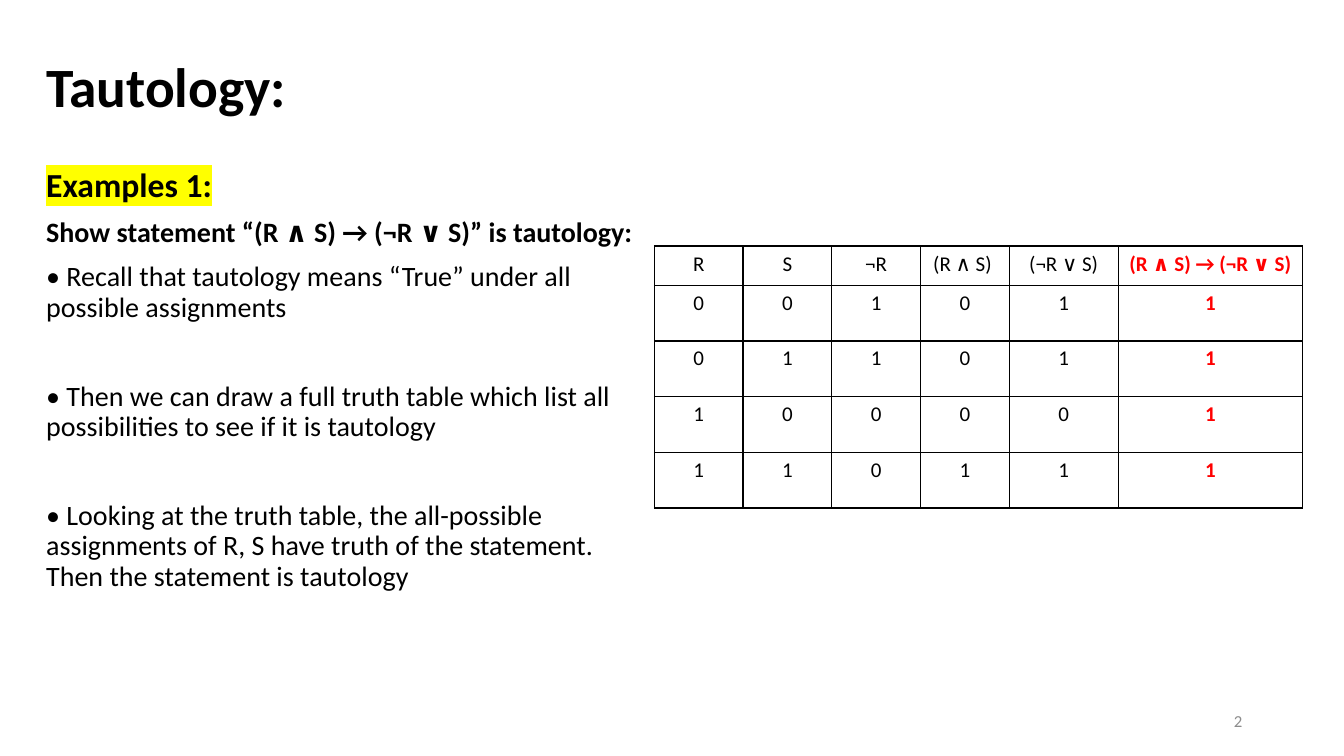
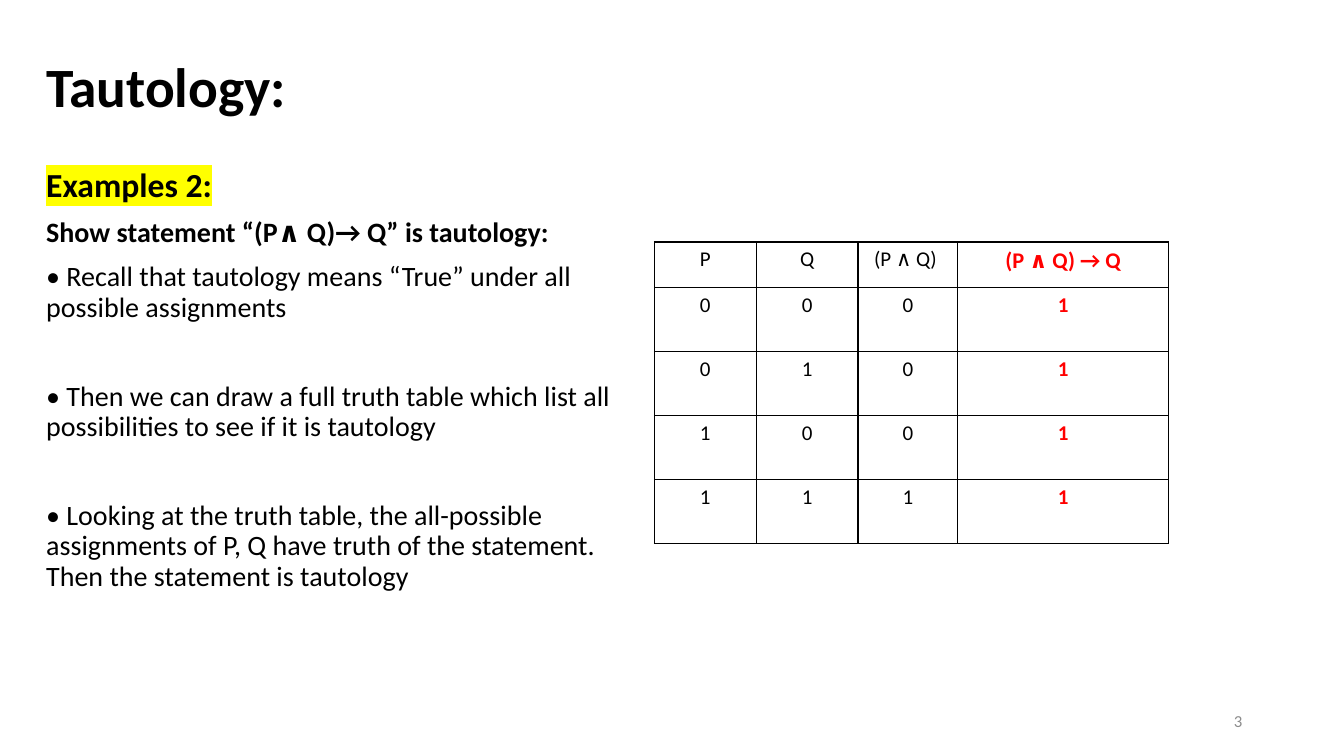
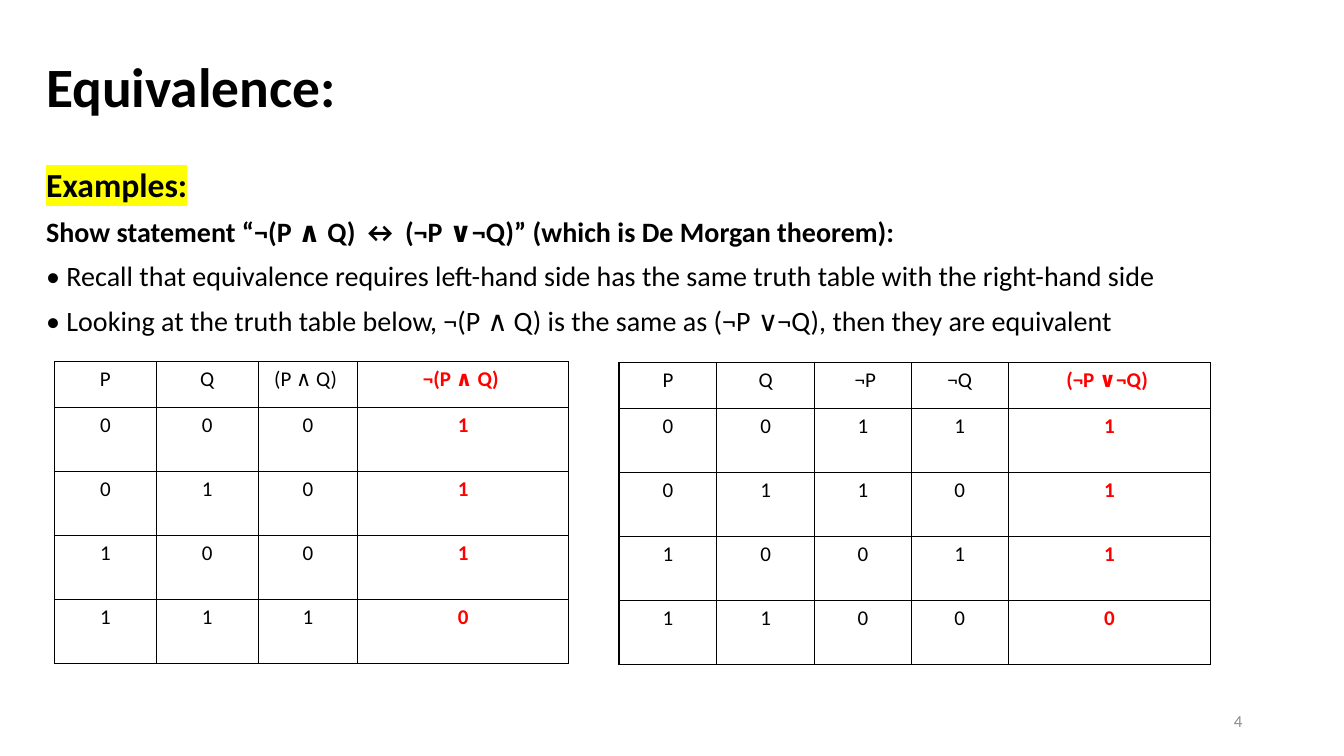
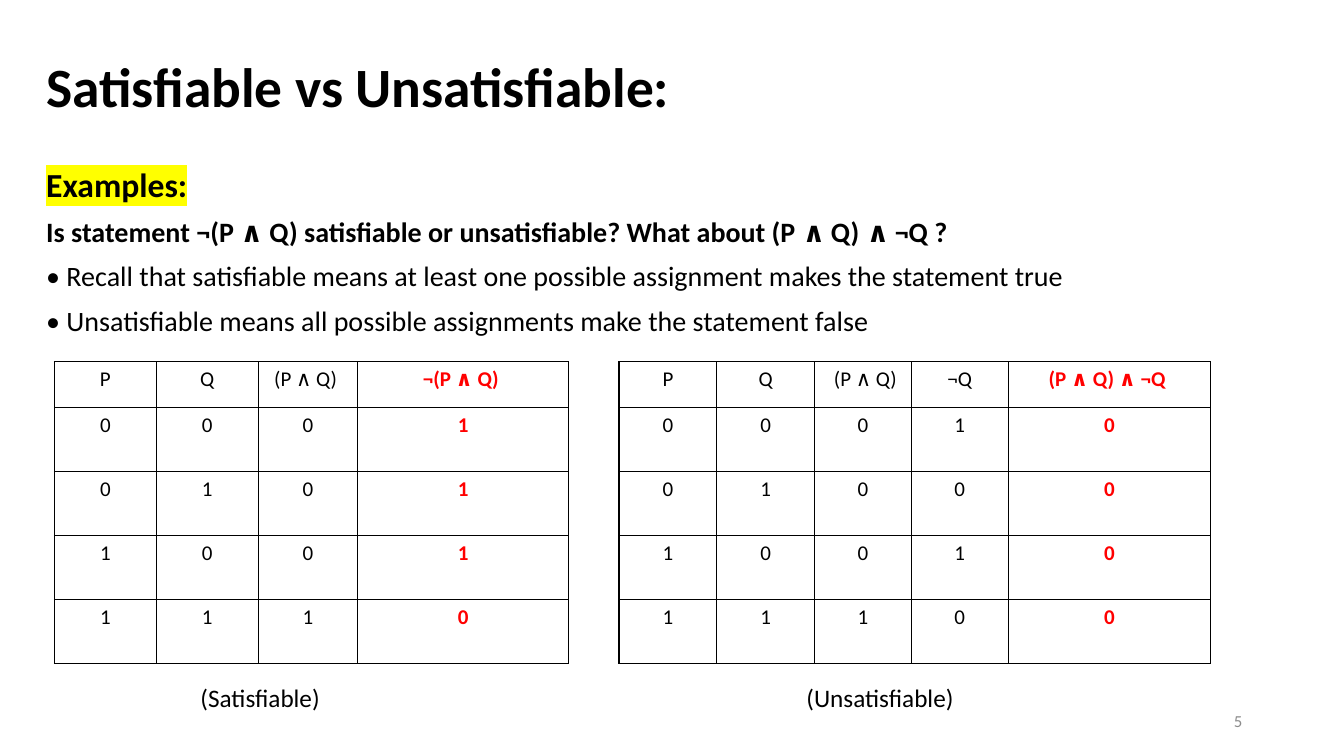
from lxml import etree
from pptx import Presentation
from pptx.dml.color import RGBColor
from pptx.enum.text import MSO_ANCHOR, PP_ALIGN
from pptx.oxml.ns import qn
from pptx.util import Inches, Pt

LEFT, CENTER, RIGHT = PP_ALIGN.LEFT, PP_ALIGN.CENTER, PP_ALIGN.RIGHT
TOP, MIDDLE, BOTTOM = MSO_ANCHOR.TOP, MSO_ANCHOR.MIDDLE, MSO_ANCHOR.BOTTOM

# Shared style
FONT = "Calibri"
BLACK, RED, GREY, YELLOW = "000000", "FF0000", "8C8C8C", "FFFF00"
TITLE_BOX = (0.36, 0.49, 10, 0.74)
NUMBER_BOX = (9.42, 6.95, 3, 0.4)
NARROW_BODY = (0.36, 1.62, 6.13, 5.23)
WIDE_BODY = (0.36, 1.62, 12.13, 1.96)
CLOSE_GAP, WIDE_GAP = 10, 42
FOUR_COLUMNS = [1.01, 1.01, 0.99, 2.09]
FIVE_COLUMNS = [0.97, 0.97, 0.96, 0.96, 2.01]


def write(paragraph, text, size=20, color=BLACK, bold=False, align=LEFT,
          spacing=None, before=None, highlight=None):
    paragraph.alignment = align
    if spacing:
        paragraph.line_spacing = spacing
    if before:
        paragraph.space_before = Pt(before)
    run = paragraph.add_run()
    run.text = text
    run.font.size = Pt(size)
    run.font.bold = bold
    run.font.color.rgb = RGBColor.from_string(color)
    run.font.name = FONT
    if highlight:
        mark = etree.Element(qn("a:highlight"))
        etree.SubElement(mark, qn("a:srgbClr"), val=highlight)
        run.font._element.find(qn("a:latin")).addprevious(mark)


def add_frame(slide, box, anchor=TOP, wrap=True):
    frame = slide.shapes.add_textbox(*map(Inches, box)).text_frame
    frame.word_wrap = wrap
    frame.vertical_anchor = anchor
    return frame


# Content: each truth table holds its header and one string of values per row
def_recall = "• Recall that tautology means “True” under all possible assignments"
draw_table = ("• Then we can draw a full truth table which list all "
              "possibilities to see if it is tautology")
conclusion = ("• Looking at the truth table, the all-possible assignments of {} "
              "have truth of the statement. Then the statement is tautology")
not_and_table = dict(
    at=(0.54, 3.59), height=2.99, header_height=0.45, columns=FOUR_COLUMNS,
    header=["P", "Q", "(P ∧ Q) ", "¬(P ∧ Q) "],
    rows=["0001", "0101", "1001", "1110"])

lessons = [
    dict(title="Tautology:", example="Examples 1:", body=NARROW_BODY, gap=WIDE_GAP,
         statement="Show statement “(R ∧ S) → (¬R ∨ S)” is tautology:",
         points=[def_recall, draw_table, conclusion.format("R, S")],
         tables=[dict(
             at=(6.49, 2.44), height=2.6, header_height=0.39,
             columns=[0.88, 0.88, 0.88, 0.88, 1.08, 1.83],
             header=["R", "S", "¬R", "(R ∧ S) ", "(¬R ∨ S)", "(R ∧ S) → (¬R ∨ S)"],
             rows=["001011", "011011", "100001", "110111"])]),
    dict(title="Tautology:", example="Examples 2:", body=NARROW_BODY, gap=WIDE_GAP,
         statement="Show statement “(P∧ Q)→ Q” is tautology:",
         points=[def_recall, draw_table, conclusion.format("P, Q")],
         tables=[dict(
             at=(6.49, 2.4), height=2.99, header_height=0.45, columns=FOUR_COLUMNS,
             header=["P", "Q", "(P ∧ Q) ", "(P ∧ Q) → Q"], result_size=16,
             rows=["0001", "0101", "1001", "1111"])]),
    dict(title="Equivalence:", example="Examples:", body=WIDE_BODY, gap=CLOSE_GAP,
         statement="Show statement “¬(P ∧ Q) ↔ (¬P ∨¬Q)” (which is De Morgan theorem):",
         points=["• Recall that equivalence requires left-hand side has the same "
                 "truth table with the right-hand side",
                 "• Looking at the truth table below, ¬(P ∧ Q) is the same as "
                 "(¬P ∨¬Q), then they are equivalent"],
         tables=[not_and_table, dict(
             at=(6.14, 3.6), height=2.99, header_height=0.45, columns=FIVE_COLUMNS,
             header=["P", "Q", " ¬P", "¬Q", "(¬P ∨¬Q) "],
             rows=["00111", "01101", "10011", "11000"])]),
    dict(title="Satisfiable vs Unsatisfiable:", example="Examples:", body=WIDE_BODY,
         gap=CLOSE_GAP,
         statement="Is statement ¬(P ∧ Q) satisfiable or unsatisfiable? "
                   "What about (P ∧ Q) ∧ ¬Q ?",
         points=["• Recall that satisfiable means at least one possible assignment "
                 "makes the statement true",
                 "• Unsatisfiable means all possible assignments make the "
                 "statement false"],
         tables=[not_and_table, dict(
             at=(6.14, 3.59), height=2.99, header_height=0.45, columns=FIVE_COLUMNS,
             header=["P", "Q", " (P ∧ Q)", "¬Q", "(P ∧ Q) ∧ ¬Q "],
             rows=["00010", "01000", "10010", "11100"])],
         captions=[("(Satisfiable)", (1.89, 6.72, 1.4, 0.4)),
                   ("(Unsatisfiable)", (7.9, 6.72, 1.68, 0.4))]),
]

deck = Presentation()
deck.slide_width, deck.slide_height = Inches(13.33), Inches(7.5)

for number, lesson in enumerate(lessons, start=2):
    slide = deck.slides.add_slide(deck.slide_layouts[6])

    # Title and page number
    title = add_frame(slide, TITLE_BOX, anchor=BOTTOM)
    write(title.paragraphs[0], lesson["title"], size=39.6, bold=True, spacing=0.9)
    page = add_frame(slide, NUMBER_BOX, anchor=MIDDLE)
    write(page.paragraphs[0], str(number), size=12, color=GREY, align=RIGHT)

    # Example, statement and explanation
    body = add_frame(slide, lesson["body"])
    write(body.paragraphs[0], lesson["example"], size=24, bold=True,
          spacing=0.9, before=CLOSE_GAP, highlight=YELLOW)
    write(body.add_paragraph(), lesson["statement"], bold=True,
          spacing=0.9, before=CLOSE_GAP)
    for index, point in enumerate(lesson["points"]):
        write(body.add_paragraph(), point, spacing=0.9,
              before=lesson["gap"] if index else CLOSE_GAP)

    # Truth tables, with the result column in red
    for truth in lesson["tables"]:
        columns, lines = truth["columns"], [truth["header"], *truth["rows"]]
        grid = slide.shapes.add_table(
            len(lines), len(columns), *map(Inches, truth["at"]),
            Inches(sum(columns)), Inches(truth["height"])).table
        grid.first_row = grid.horz_banding = False
        for column, width in zip(grid.columns, columns):
            column.width = Inches(width)
        value_height = (truth["height"] - truth["header_height"]) / len(truth["rows"])
        for r, line in enumerate(lines):
            grid.rows[r].height = Inches(value_height if r else truth["header_height"])
            for c, value in enumerate(line):
                cell = grid.cell(r, c)
                cell.margin_left = cell.margin_right = Inches(0.08)
                result = c == len(columns) - 1
                size = truth.get("result_size", 15) if result and r == 0 else 15
                write(cell.text_frame.paragraphs[0], value, size=size, bold=result,
                      color=RED if result else BLACK, align=CENTER)
                properties = cell._tc.get_or_add_tcPr()
                for side in ("lnL", "lnR", "lnT", "lnB"):
                    border = etree.SubElement(properties, qn("a:" + side), w=str(Pt(1)))
                    fill = etree.SubElement(border, qn("a:solidFill"))
                    etree.SubElement(fill, qn("a:srgbClr"), val=BLACK)
                cell.fill.background()

    # Captions under the tables
    for caption, box in lesson.get("captions", []):
        write(add_frame(slide, box, wrap=False).paragraphs[0], caption, size=18)

deck.save("out.pptx")
